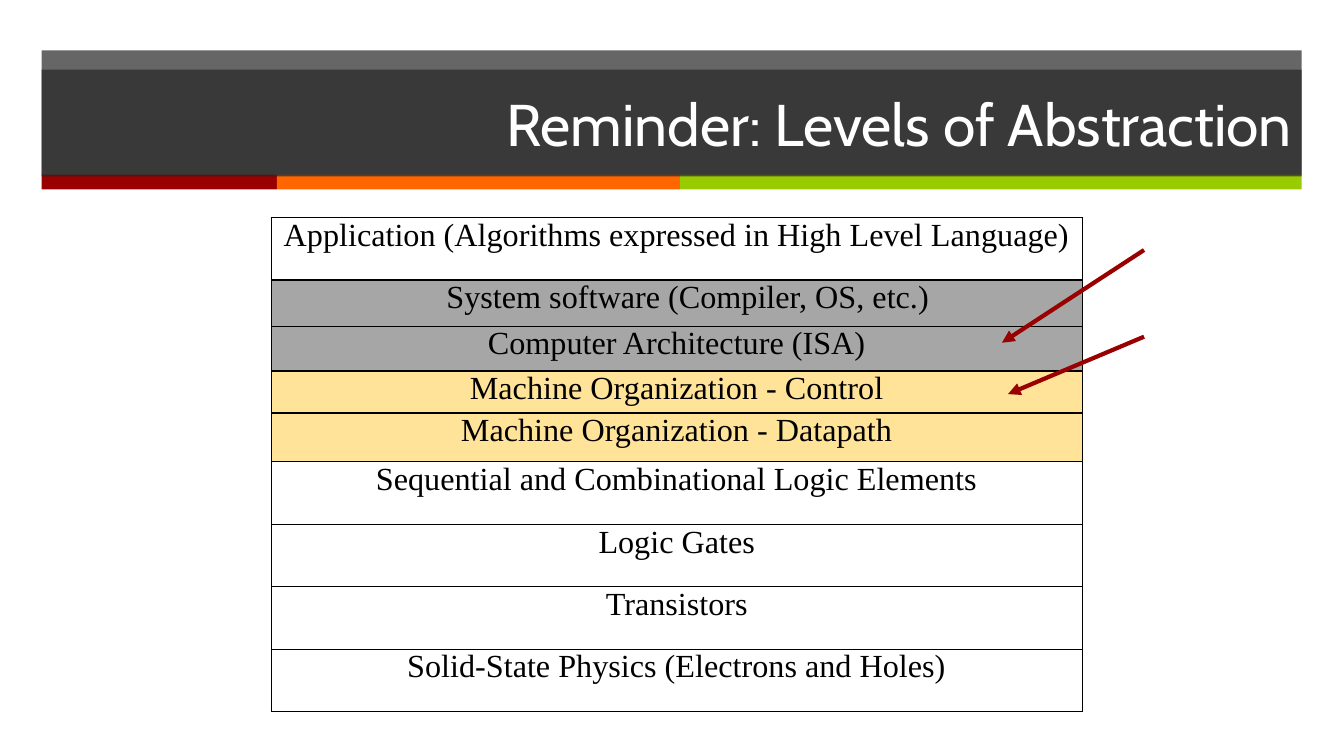
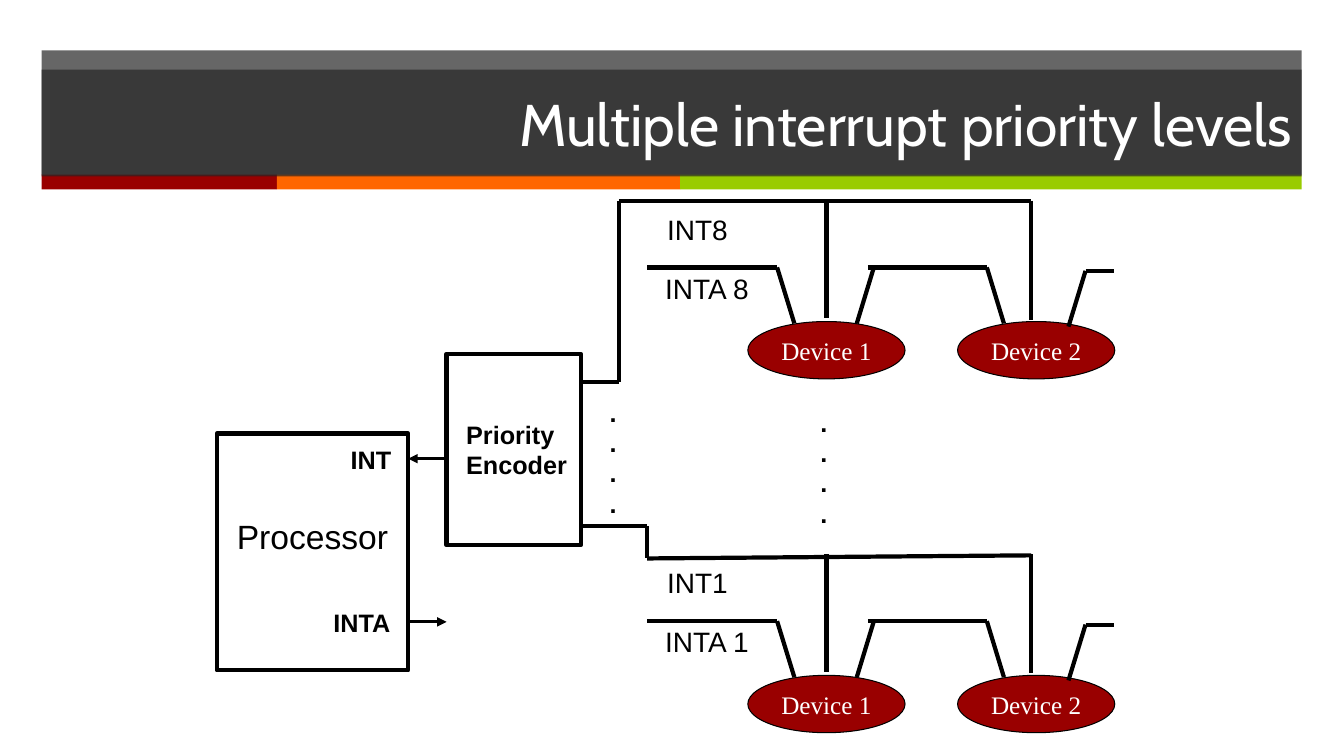
from lxml import etree
from pptx import Presentation
from pptx.dml.color import RGBColor
from pptx.enum.shapes import MSO_CONNECTOR, MSO_SHAPE
from pptx.enum.text import MSO_ANCHOR, MSO_AUTO_SIZE, PP_ALIGN
from pptx.oxml.ns import qn
from pptx.util import Pt

STRAIGHT = MSO_CONNECTOR.STRAIGHT
RECTANGLE, OVAL = MSO_SHAPE.RECTANGLE, MSO_SHAPE.OVAL
TOP, MIDDLE = MSO_ANCHOR.TOP, MSO_ANCHOR.MIDDLE
LEFT, CENTER, RIGHT = PP_ALIGN.LEFT, PP_ALIGN.CENTER, PP_ALIGN.RIGHT
NO_AUTOFIT = MSO_AUTO_SIZE.NONE

BLACK = RGBColor(0x00, 0x00, 0x00)
WHITE = RGBColor(0xFF, 0xFF, 0xFF)
CHARCOAL = RGBColor(0x26, 0x26, 0x26)
RED = RGBColor(0x99, 0x00, 0x00)
ORANGE = RGBColor(0xFF, 0x66, 0x00)
GREEN = RGBColor(0x99, 0xCC, 0x00)
GREY = RGBColor(0xA6, 0xA6, 0xA6)
YELLOW = RGBColor(0xFF, 0xE3, 0x99)

SANS, SERIF, TITLE_FONT = "Arial", "Times New Roman", "Cabin"

# Shared header: left, top, width, height
HEADER_BOX = (29.8, 36, 900, 89)
TITLE_BOX = (29.8, 49.7, 900, 76.3)
STRIPE_TOP, STRIPE_HEIGHT = 124.8, 10.4
STRIPES = [(168, RED), (288, ORANGE), (444, GREEN)]

# Levels of abstraction: text, row height, fill, extra left indent
LEVELS = [
    ("Application (Algorithms expressed in High Level Language)", 44.6, None, 0),
    ("System software (Compiler, OS, etc.)", 33, GREY, 16),
    ("Computer Architecture (ISA)", 32, GREY, 0),
    ("Machine Organization - Control", 30, YELLOW, 0),
    ("Machine Organization - Datapath", 35, YELLOW, 0),
    ("Sequential and Combinational Logic Elements", 44.6, None, 0),
    ("Logic Gates", 44.6, None, 0),
    ("Transistors", 44.6, None, 0),
    ("Solid-State Physics (Electrons and Holes)", 44.6, None, 0),
]
TABLE_LEFT, TABLE_TOP, TABLE_WIDTH = 193.7, 155.4, 579.6
LEVEL_ARROWS = [((817.2, 178.6), (715.7, 244.8)), ((817.2, 240.5), (720, 281.5))]

# Device banks: level number, bus line height, path from the encoder to the bus
BANKS = [
    (8, 143.3, [(414.7, 272.9), (442, 272.9), (442, 143.3), (736.6, 143.3)]),
    (1, 396, [(414.7, 375.8), (462.2, 375.8), (462.2, 398.9), (736.6, 396.7)]),
]
# Wires of one bank, heights measured from its bus line
BANK_WIRES = [
    [(590.4, 0), (590.4, 84)],
    [(736.6, 0), (736.6, 85)],
    [(462.2, 47.7), (555.1, 47.7), (567.4, 87.7)],
    [(612, 87.7), (624.2, 47.7)],
    [(619.9, 47.7), (704.9, 47.7), (717.1, 87.7)],
    [(763.2, 90), (775.4, 50.2), (795.6, 50.2)],
]
DEVICES = [("Device 1", 534.2), ("Device 2", 684)]
DEVICE_TOP, DEVICE_WIDTH, DEVICE_HEIGHT = 86.4, 112.3, 41
DOTS = [(428.4, 280.1), (578.9, 287.3)]
SIGNALS = [("INT", 243.4, 313.9), ("INTA", 231.1, 430.6)]
SIGNAL_ARROWS = [((319, 327.6), (291.6, 327.6)), ((291.6, 444.2), (319, 444.2))]


def points(*values):
    return [Pt(value) for value in values]


def add_lines(frame, lines, size, color=BLACK, font=SANS, bold=False, align=LEFT):
    for index, line in enumerate(lines):
        para = frame.paragraphs[0] if index == 0 else frame.add_paragraph()
        para.alignment = align
        span = para.add_run()
        span.text = line
        span.font.name, span.font.size = font, Pt(size)
        span.font.color.rgb, span.font.bold = color, bold


def set_fill(shape, color, opacity=None):
    if color is None:
        shape.fill.background()
        return
    shape.fill.solid()
    shape.fill.fore_color.rgb = color
    if opacity:
        tint = next(shape.element.spPr.iter(qn("a:srgbClr")))
        etree.SubElement(tint, qn("a:alpha")).set("val", str(opacity * 1000))


def add_box(page, kind, place, fill=None, line_width=None, opacity=None):
    box = page.shapes.add_shape(kind, *points(*place))
    box.shadow.inherit = False
    set_fill(box, fill, opacity)
    if line_width:
        box.line.color.rgb, box.line.width = BLACK, Pt(line_width)
    else:
        box.line.fill.background()
    return box


def add_label(page, lines, place, size, bold=False):
    label = page.shapes.add_textbox(*points(*place))
    label.text_frame.word_wrap = True
    add_lines(label.text_frame, lines, size, bold=bold)


def add_line(page, start, end, color=BLACK, width=3, arrow=False):
    line = page.shapes.add_connector(STRAIGHT, *points(*start, *end))
    line.line.color.rgb, line.line.width = color, Pt(width)
    properties = line.element.spPr
    if arrow:
        outline = properties.find(qn("a:ln"))
        etree.SubElement(outline, qn("a:tailEnd")).set("type", "triangle")
    etree.SubElement(properties, qn("a:effectLst"))


def add_wire(page, corners):
    for start, end in zip(corners, corners[1:]):
        add_line(page, start, end)


def add_page(deck, layout, text):
    page = deck.slides.add_slide(layout)
    title = page.shapes.title
    title.left, title.top, title.width, title.height = points(*TITLE_BOX)
    set_fill(title, CHARCOAL, 70)
    frame = title.text_frame
    frame.vertical_anchor, frame.auto_size = MIDDLE, NO_AUTOFIT
    add_lines(frame, [text], 42, WHITE, TITLE_FONT, align=RIGHT)
    return page


def move_header_to_layout(page, layout):
    """Draw the header bands and make them part of the shared layout."""
    bands = [add_box(page, RECTANGLE, HEADER_BOX, CHARCOAL, opacity=70)]
    left = HEADER_BOX[0]
    for width, color in STRIPES:
        place = (left, STRIPE_TOP, width, STRIPE_HEIGHT)
        bands.append(add_box(page, RECTANGLE, place, color))
        left += width
    for index, band in enumerate(bands):
        layout.shapes.element.insert(2 + index, band.element)


def add_borders(cell):
    properties = cell._tc.get_or_add_tcPr()
    for index, side in enumerate(("lnL", "lnR", "lnT", "lnB")):
        border = etree.Element(qn("a:" + side), w=str(Pt(1)))
        fill = etree.SubElement(border, qn("a:solidFill"))
        etree.SubElement(fill, qn("a:srgbClr")).set("val", str(BLACK))
        properties.insert(index, border)


def fill_levels(page):
    height = sum(level[1] for level in LEVELS)
    place = points(TABLE_LEFT, TABLE_TOP, TABLE_WIDTH, height)
    table = page.shapes.add_table(len(LEVELS), 1, *place).table
    table.first_row = table.horz_banding = False
    for index, (text, row_height, color, indent) in enumerate(LEVELS):
        table.rows[index].height = Pt(row_height)
        cell = table.cell(index, 0)
        set_fill(cell, color)
        cell.margin_left, cell.margin_right = Pt(5 + indent), Pt(5)
        cell.margin_top = cell.margin_bottom = 0
        add_lines(cell.text_frame, [text], 23, font=SERIF, align=CENTER)
        add_borders(cell)
    for start, end in LEVEL_ARROWS:
        add_line(page, start, end, RED, arrow=True)


def add_bank(page, level, bus_top, bus):
    for name, left in DEVICES:
        place = (left, bus_top + DEVICE_TOP, DEVICE_WIDTH, DEVICE_HEIGHT)
        device = add_box(page, OVAL, place, RED, 0.75)
        frame = device.text_frame
        frame.word_wrap, frame.vertical_anchor = False, MIDDLE
        add_lines(frame, [name], 18, WHITE, SERIF, align=CENTER)
    add_wire(page, bus)
    for wire in BANK_WIRES:
        add_wire(page, [(x, bus_top + y) for x, y in wire])
    add_label(page, [f"INT{level}"], (469.4, bus_top + 4.7, 88.6, 31.7), 20)
    add_label(page, [f"INTA {level}"], (468, bus_top + 46.8, 97.2, 31.7), 20)


def fill_interrupts(page):
    # Processor and encoder
    processor = add_box(page, RECTANGLE, (154.8, 309.6, 136.8, 169.2), None, 3)
    frame = processor.text_frame
    frame.vertical_anchor, frame.margin_top = TOP, Pt(59)
    add_lines(frame, ["Processor"], 24, align=CENTER)
    encoder = add_box(page, RECTANGLE, (319, 252.7, 95.8, 136.8), None, 3)
    frame = encoder.text_frame
    frame.vertical_anchor = MIDDLE
    frame.margin_left, frame.margin_right = Pt(14), 0
    add_lines(frame, ["Priority", "Encoder"], 18, bold=True)
    # Signals between them
    for name, left, top in SIGNALS:
        add_label(page, [name], (left, top, 70, 28.8), 18, bold=True)
    for start, end in SIGNAL_ARROWS:
        add_line(page, start, end, width=2.25, arrow=True)
    # Device banks and the dots for those left out
    for bank in BANKS:
        add_bank(page, *bank)
    for left, top in DOTS:
        add_label(page, ["."] * 4, (left, top, 19.4, 94.3), 18, bold=True)


def main():
    deck = Presentation()
    deck.slide_width, deck.slide_height = Pt(960), Pt(540)
    layout = deck.slide_layouts[5]
    for holder in list(layout.placeholders)[1:]:
        layout.shapes.element.remove(holder.element)

    levels = add_page(deck, layout, "Reminder: Levels of Abstraction")
    move_header_to_layout(levels, layout)
    fill_levels(levels)
    fill_interrupts(add_page(deck, layout, "Multiple interrupt priority levels"))
    deck.save("out.pptx")


if __name__ == "__main__":
    main()
